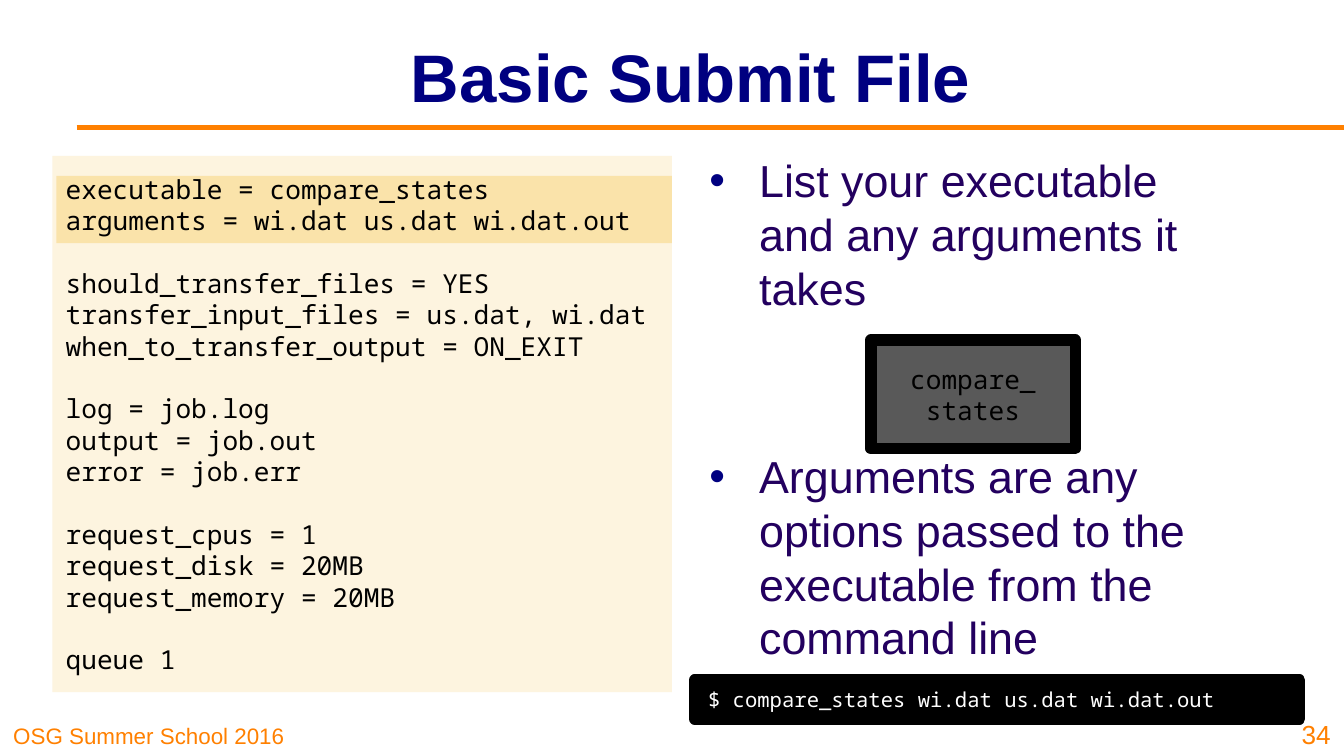
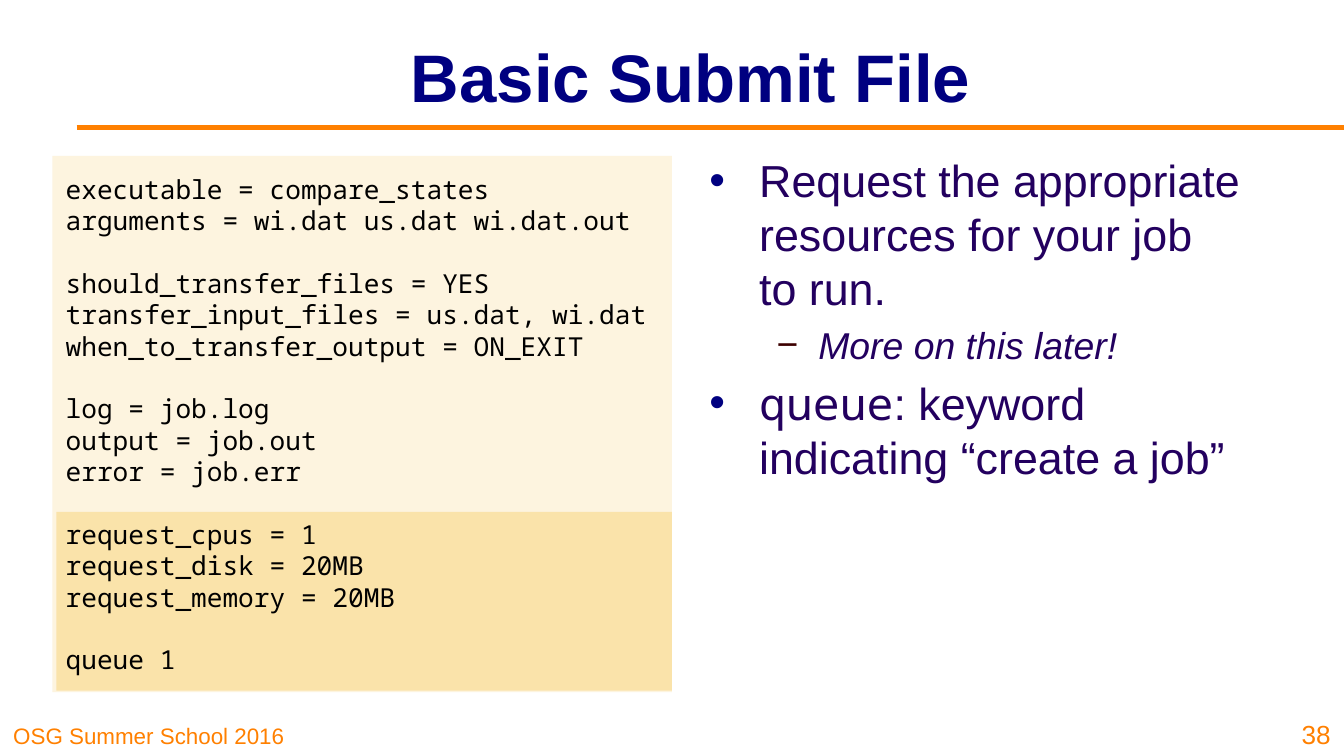
from lxml.etree import SubElement
from pptx import Presentation
from pptx.dml.color import RGBColor
from pptx.enum.shapes import MSO_CONNECTOR, MSO_SHAPE
from pptx.enum.text import MSO_ANCHOR, MSO_AUTO_SIZE, PP_ALIGN
from pptx.oxml.ns import qn
from pptx.util import Inches, Pt

NAVY = RGBColor(0x00, 0x00, 0x80)
INDIGO = RGBColor(0x23, 0x00, 0x5F)
MAROON = RGBColor(0x3C, 0x00, 0x00)
ORANGE = RGBColor(0xFF, 0x80, 0x00)
CREAM = RGBColor(0xFD, 0xF4, 0xDF)
SAND = RGBColor(0xFA, 0xE3, 0xAA)
GRAY = RGBColor(0x59, 0x59, 0x59)
BLACK = RGBColor(0x00, 0x00, 0x00)
WHITE = RGBColor(0xFF, 0xFF, 0xFF)

SANS = "Arial"
MONO = "Noto Sans Mono"

# Bullet levels: character, bullet colour, left margin, hanging indent, text size
LEVELS = [
    ("•", NAVY, 0.37, 0.37, 24),
    ("−", MAROON, 0.81, 0.31, 20),
]

PANEL_LEFT, PANEL_TOP, PANEL_WIDTH, PANEL_HEIGHT = 0.39, 1.16, 4.61, 3.99
CODE_GAP = 16.8  # height of one 14 pt line

SUBMIT_FILE = [
    ["executable = compare_states", "arguments = wi.dat us.dat wi.dat.out"],
    [
        "should_transfer_files = YES",
        "transfer_input_files = us.dat, wi.dat",
        "when_to_transfer_output = ON_EXIT",
    ],
    ["log = job.log", "output = job.out", "error = job.err"],
    ["request_cpus = 1", "request_disk = 20MB", "request_memory = 20MB"],
    ["queue 1"],
]


def box(left, top, width, height):
    return Inches(left), Inches(top), Inches(width), Inches(height)


class Deck:
    def __init__(self):
        self.prs = Presentation()
        self.prs.slide_width = Inches(10)
        self.prs.slide_height = Inches(10) * 9 // 16
        self.s = None

    def slide(self, title, number):
        """Start a slide with its title, rule, footer and number."""
        self.s = self.prs.slides.add_slide(self.prs.slide_layouts[5])
        self.title(title)
        self.rule(0.57, 10, 0.95)
        self.label("OSG Summer School 2016", (0, 5.31, 2.48, 0.31), 12)
        self.label(number, (9.54, 5.25, 0.46, 0.38), 14, PP_ALIGN.RIGHT)

    def run(self, p, text, size, color, font=SANS, bold=False, italic=False):
        r = p.add_run()
        r.text = text
        r.font.name = font
        r.font.size = Pt(size)
        r.font.bold = bold
        r.font.italic = italic
        r.font.color.rgb = color

    def title(self, text):
        sp = self.s.shapes.title
        sp.left, sp.top, sp.width, sp.height = box(1.34, 0.09, 7.6, 0.94)
        tf = sp.text_frame
        tf.auto_size = MSO_AUTO_SIZE.NONE
        tf.vertical_anchor = MSO_ANCHOR.MIDDLE
        p = tf.paragraphs[0]
        p.alignment = PP_ALIGN.CENTER
        self.run(p, text, 36, NAVY, bold=True)

    def rule(self, x1, x2, y):
        line = self.s.shapes.add_connector(
            MSO_CONNECTOR.STRAIGHT, Inches(x1), Inches(y), Inches(x2), Inches(y))
        line.line.color.rgb = ORANGE
        line.line.width = Pt(3)
        SubElement(line._element.spPr, qn("a:effectLst"))

    def text_frame(self, at, anchor=MSO_ANCHOR.TOP):
        tf = self.s.shapes.add_textbox(*box(*at)).text_frame
        tf.word_wrap = True
        tf.vertical_anchor = anchor
        return tf

    def label(self, text, at, size, align=PP_ALIGN.LEFT):
        p = self.text_frame(at, MSO_ANCHOR.BOTTOM).paragraphs[0]
        p.alignment = align
        self.run(p, text, size, ORANGE)

    def rect(self, at, fill, outline=None):
        sp = self.s.shapes.add_shape(MSO_SHAPE.RECTANGLE, *box(*at))
        sp.shadow.inherit = False
        sp.fill.solid()
        sp.fill.fore_color.rgb = fill
        if outline is None:
            sp.line.fill.background()
        else:
            sp.line.color.rgb = outline
            sp.line.width = Pt(6)
        return sp

    def code_lines(self, tf, groups, size, color, align=PP_ALIGN.LEFT):
        """Write groups of code lines, set apart by a gap of one line."""
        p = None
        for group in groups:
            for i, line in enumerate(group):
                first = p is None
                p = tf.paragraphs[0] if first else tf.add_paragraph()
                p.alignment = align
                if i == 0 and not first:
                    p.space_before = Pt(CODE_GAP)
                self.run(p, line, size, color, MONO)

    def submit_file(self, mark_top, mark_height):
        """Show the submit file with one band of its lines highlighted."""
        panel = (PANEL_LEFT, PANEL_TOP, PANEL_WIDTH, PANEL_HEIGHT)
        self.rect(panel, CREAM)
        self.rect((0.42, mark_top, 4.58, mark_height), SAND)
        tf = self.text_frame(panel, MSO_ANCHOR.MIDDLE)
        self.code_lines(tf, SUBMIT_FILE, 14, BLACK)

    def code_box(self, lines, at, fill, size, color, align):
        tf = self.rect(at, fill, BLACK).text_frame
        tf.word_wrap = True
        tf.vertical_anchor = MSO_ANCHOR.MIDDLE
        self.code_lines(tf, [lines], size, color, align)

    def bullets(self, items, gap=None):
        """Write (level, [(text, font), ...]) items; gap overrides the spacing."""
        tf = self.text_frame((5.18, 1.09, 4.15, 3.84))
        for i, (level, runs) in enumerate(items):
            char, bullet_color, margin, hang, size = LEVELS[level]
            p = tf.add_paragraph() if i else tf.paragraphs[0]
            p.level = level
            pPr = p._p.get_or_add_pPr()
            pPr.set("marL", str(Inches(margin)))
            pPr.set("indent", str(-Inches(hang)))
            color = SubElement(pPr, qn("a:buClr"))
            SubElement(color, qn("a:srgbClr"), val=str(bullet_color))
            SubElement(pPr, qn("a:buFont"), typeface=SANS)
            SubElement(pPr, qn("a:buChar"), char=char)
            if i:
                p.space_before = Pt(gap or size * 0.2)
            for text, font in runs:
                self.run(p, text, size, INDIGO, font, italic=level == 1)


def main():
    deck = Deck()

    deck.slide("Basic Submit File", "34")
    deck.submit_file(1.31, 0.5)
    deck.bullets([
        (0, [("List your executable and any arguments it takes", SANS)]),
        (0, [("Arguments are any options passed to the executable "
              "from the command line", SANS)]),
    ], gap=72)
    deck.code_box(["compare_", "states"], (6.48, 2.53, 1.52, 0.81),
                  GRAY, 14, BLACK, PP_ALIGN.CENTER)
    deck.code_box(["$ compare_states wi.dat us.dat wi.dat.out"],
                  (5.17, 5.06, 4.5, 0.29), BLACK, 11, WHITE, PP_ALIGN.LEFT)

    deck.slide("Basic Submit File", "38")
    deck.submit_file(3.81, 1.33)
    deck.bullets([
        (0, [("Request the appropriate resources for your job to run.", SANS)]),
        (1, [("More on this later!", SANS)]),
        (0, [("queue", MONO), (": keyword indicating “create a job”", SANS)]),
    ])

    deck.prs.save("out.pptx")


if __name__ == "__main__":
    main()
